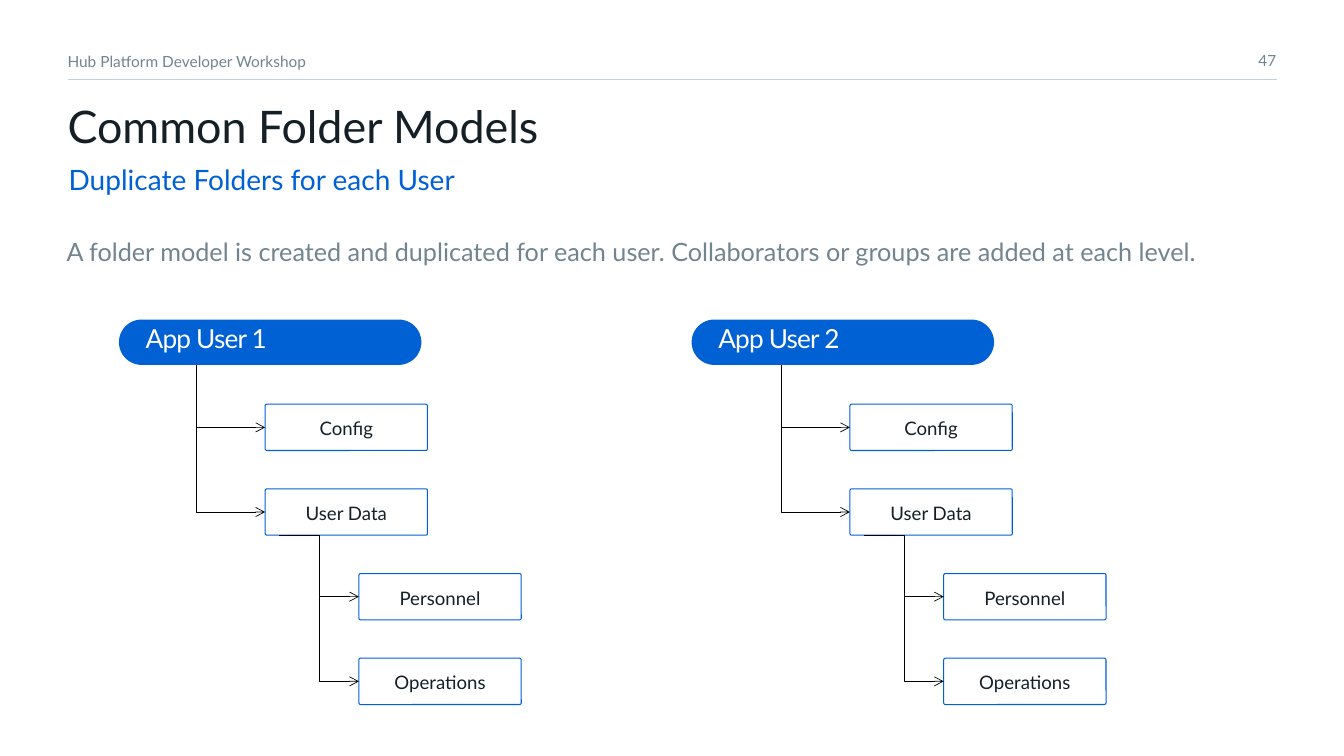
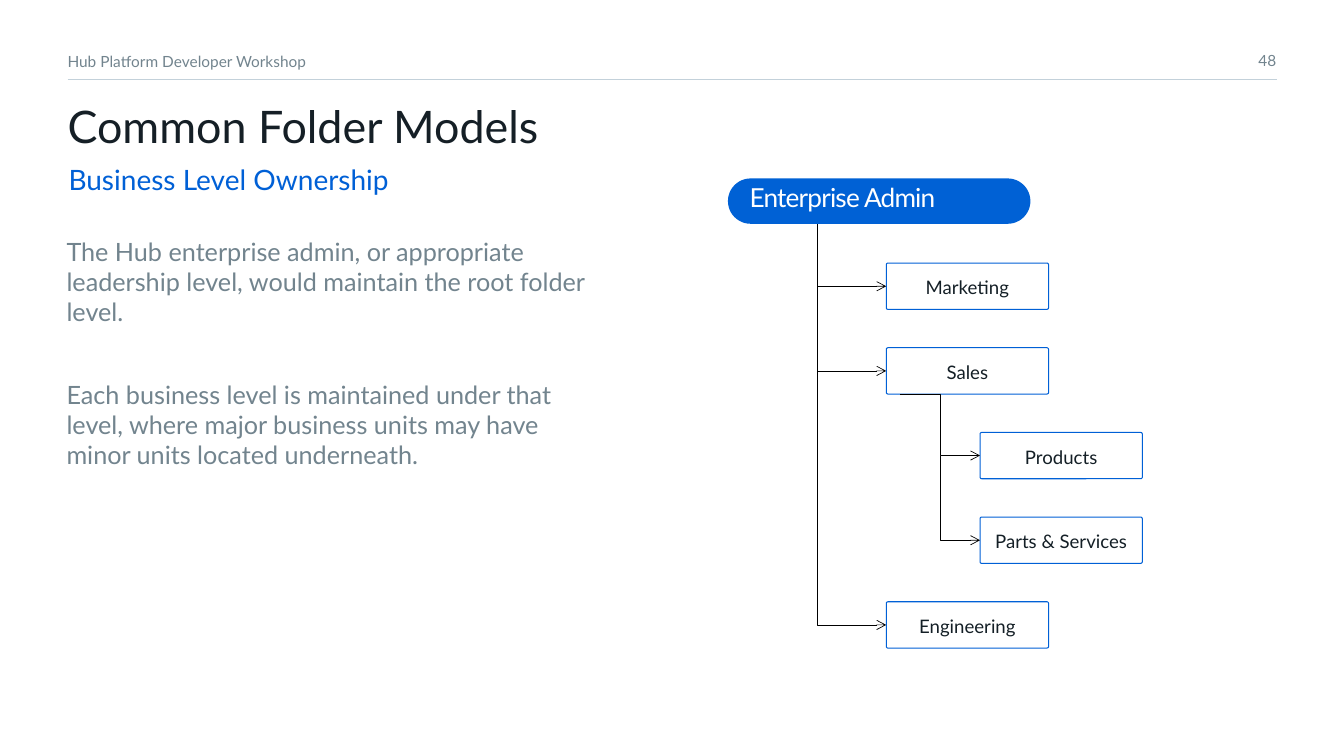
import pptx
import pptx.dml.color
import pptx.enum.shapes
import pptx.enum.text
import pptx.oxml
import pptx.oxml.ns
import pptx.util

Inches = pptx.util.Inches
Pt = pptx.util.Pt
qn = pptx.oxml.ns.qn
Align = pptx.enum.text.PP_ALIGN
Anchor = pptx.enum.text.MSO_ANCHOR
Shape = pptx.enum.shapes.MSO_SHAPE
Connector = pptx.enum.shapes.MSO_CONNECTOR

FONT = "Lato"
COLOURS = {
    "title": "151F26",
    "accent": "0060D6",
    "pill": "0061D5",
    "grey": "72848E",
    "rule": "C3D1DA",
    "label": "141F26",
    "branch": "000000",
    "white": "FFFFFF",
}

# Text styles: size, colour, insets (left, top, right, bottom), paragraph formats
BODY_INSETS = (0, 0.05, 0.25, 0.05)
STYLES = {
    "title": dict(size=32, colour="title", insets=(0, 0, 0, 0), paragraph={}),
    "subtitle": dict(size=20, colour="accent", insets=BODY_INSETS, paragraph={}),
    "body": dict(size=18, colour="grey", insets=BODY_INSETS,
                 paragraph=dict(space_after=Pt(37.6))),
    "header": dict(size=11, colour="grey", insets=(0, 0.05, 0.1, 0.05),
                   paragraph=dict(line_spacing=1.1)),
    "number": dict(size=11, colour="grey", insets=(0, 0, 0, 0), anchor=Anchor.MIDDLE,
                   paragraph=dict(line_spacing=1.1, alignment=Align.RIGHT)),
    "pill": dict(size=18.7, colour="white", insets=(0.2, 0, 0, 0), spacing=-60,
                 paragraph=dict(line_spacing=0.9)),
    "node": dict(size=13.3, colour="label", insets=(0.1, 0.05, 0.1, 0.05),
                 anchor=Anchor.MIDDLE,
                 paragraph=dict(line_spacing=1.1, alignment=Align.CENTER)),
}

# Tree geometry in inches
PILL_WIDTH, PILL_HEIGHT = 3, 0.45
NODE_WIDTH, NODE_HEIGHT = 1.61, 0.46
FIRST_ROW, ROW_STEP = 0.84, 0.84
INDENT = 0.93
TRUNK_GAP = {1: 0.68, 2: 0.39}
TAIL = 0.79


def colour(name):
    return pptx.dml.color.RGBColor.from_string(COLOURS[name])


def set_formats(target, formats):
    for name, value in formats.items():
        setattr(target, name, value)


def drawing_element(tag, attributes=""):
    return pptx.oxml.parse_xml(
        f'<a:{tag} {pptx.oxml.ns.nsdecls("a")} {attributes}/>')


class Workshop:
    """Holds the style and the current slide."""

    def __init__(self):
        self.deck = pptx.Presentation()
        self.deck.slide_width = Inches(13.33)
        self.deck.slide_height = Inches(7.5)
        self.page = None

    def set_text(self, box, lines, style, **changes):
        look = {**STYLES[style], **changes}
        frame = box.text_frame
        left, top, right, bottom = map(Inches, look["insets"])
        set_formats(frame, dict(
            word_wrap=True, auto_size=pptx.enum.text.MSO_AUTO_SIZE.NONE,
            vertical_anchor=look.get("anchor", Anchor.TOP),
            margin_left=left, margin_top=top, margin_right=right, margin_bottom=bottom))
        for index, line in enumerate(lines):
            para = frame.add_paragraph() if index else frame.paragraphs[0]
            set_formats(para, {"alignment": Align.LEFT, "space_before": Pt(0),
                               **look["paragraph"]})
            span = para.add_run()
            span.text = line
            set_formats(span.font, dict(name=FONT, size=Pt(look["size"]), bold=False))
            span.font.color.rgb = colour(look["colour"])
        if "spacing" in look:
            for properties in box.element.iter(qn("a:rPr")):
                properties.set("spc", str(look["spacing"]))

    def text(self, place, line, style):
        self.set_text(self.page.shapes.add_textbox(*map(Inches, place)), [line], style)

    def placeholder(self, index, place, lines, style):
        box = self.page.placeholders[index]
        set_formats(box, dict(zip(("left", "top", "width", "height"), map(Inches, place))))
        self.set_text(box, lines, style)
        if style != "title":
            for properties in box.element.iter(qn("a:pPr")):
                properties.set("marL", "0")
                properties.set("indent", "0")
                properties.append(drawing_element("buNone"))

    def line(self, kind, start, end, line_colour):
        line = self.page.shapes.add_connector(kind, *map(Inches, (*start, *end)))
        line.line.color.rgb = colour(line_colour)
        line.line.width = Pt(0.5)
        line.element.spPr.append(drawing_element("effectLst"))
        return line

    def branch(self, start, end, square):
        """Elbow with its arrowhead at start; a square one has a single corner."""
        line = self.line(Connector.ELBOW, start, end, "branch")
        if square:
            line.element.spPr.find(qn("a:prstGeom")).set("prst", "bentConnector2")
        line.element.spPr.find(qn("a:ln")).append(
            drawing_element("headEnd", 'type="arrow"'))

    def rounded(self, place, corner):
        box = self.page.shapes.add_shape(Shape.ROUNDED_RECTANGLE, *map(Inches, place))
        box.shadow.inherit = False
        box.adjustments[0] = corner
        return box

    def pill(self, left, top, label, inset):
        box = self.rounded((left, top, PILL_WIDTH, PILL_HEIGHT), 0.5)
        box.fill.solid()
        box.fill.fore_color.rgb = colour("pill")
        box.line.fill.background()
        self.set_text(box, [label], "pill", insets=(inset, 0, 0, 0))

    def node(self, left, top, label):
        box = self.rounded((left, top, NODE_WIDTH, NODE_HEIGHT), 0.036)
        box.fill.background()
        box.line.color.rgb = colour("accent")
        box.line.width = Pt(0.75)
        self.set_text(box, [label], "node")

    def tree(self, left, top, root, nodes_left, rows, inset=0.2):
        """Root pill with one row per (label, depth) pair."""
        self.pill(left, top, root, inset)
        parent_bottom = top + PILL_HEIGHT
        joints = {}
        for row, (label, depth) in enumerate(rows):
            node_left = nodes_left + (depth - 1) * INDENT
            node_top = top + FIRST_ROW + row * ROW_STEP
            middle = node_top + NODE_HEIGHT / 2
            self.node(node_left, node_top, label)
            tailed = depth == 2 and depth not in joints
            reach = TAIL if tailed else TRUNK_GAP[depth]
            end = (node_left - reach, joints.get(depth, parent_bottom))
            self.branch((node_left, middle), end, square=not tailed)
            joints[depth] = middle
            if depth == 1:
                joints.pop(2, None)
                parent_bottom = node_top + NODE_HEIGHT

    def slide(self, number, subtitle, body, body_size):
        self.page = self.deck.slides.add_slide(self.deck.slide_layouts[3])
        # Header band
        self.text((7.15, 0.45, 5.51, 0.28), str(number), "number")
        self.text((0.67, 0.45, 5.7, 0.27), "Hub Platform Developer Workshop", "header")
        self.line(Connector.STRAIGHT, (0.67, 0.79), (12.67, 0.79), "rule")
        # Title, subtitle and body
        self.placeholder(0, (0.67, 0.98, 12, 1.2), ["Common Folder Models"], "title")
        self.placeholder(1, (0.68, 1.56, 12, 0.55), [subtitle], "subtitle")
        self.placeholder(2, (0.66, 2.29, *body_size), body, "body")


def main():
    workshop = Workshop()

    # Duplicate folders
    workshop.slide(47, "Duplicate Folders for each User", [
        "A folder model is created and duplicated for each user. "
        "Collaborators or groups are added at each level."], (12.01, 0.99))
    folders = [("Config", 1), ("User Data", 1), ("Personnel", 2), ("Operations", 2)]
    for user, (left, nodes_left) in enumerate([(1.18, 2.63), (6.86, 8.43)], start=1):
        workshop.tree(left, 3.17, f"App User {user}", nodes_left, folders)

    # Business level ownership
    workshop.slide(48, "Business Level Ownership", [
        "The Hub enterprise admin, or appropriate leadership level, "
        "would maintain the root folder level.",
        "Each business level is maintained under that level, where major "
        "business units may have minor units located underneath."], (5.53, 4.71))
    units = [("Marketing", 1), ("Sales", 1), ("Products", 2),
             ("Parts & Services", 2), ("Engineering", 1)]
    workshop.tree(7.22, 1.77, "Enterprise Admin", 8.79, units, inset=0.15)

    workshop.deck.save("out.pptx")


if __name__ == "__main__":
    main()
